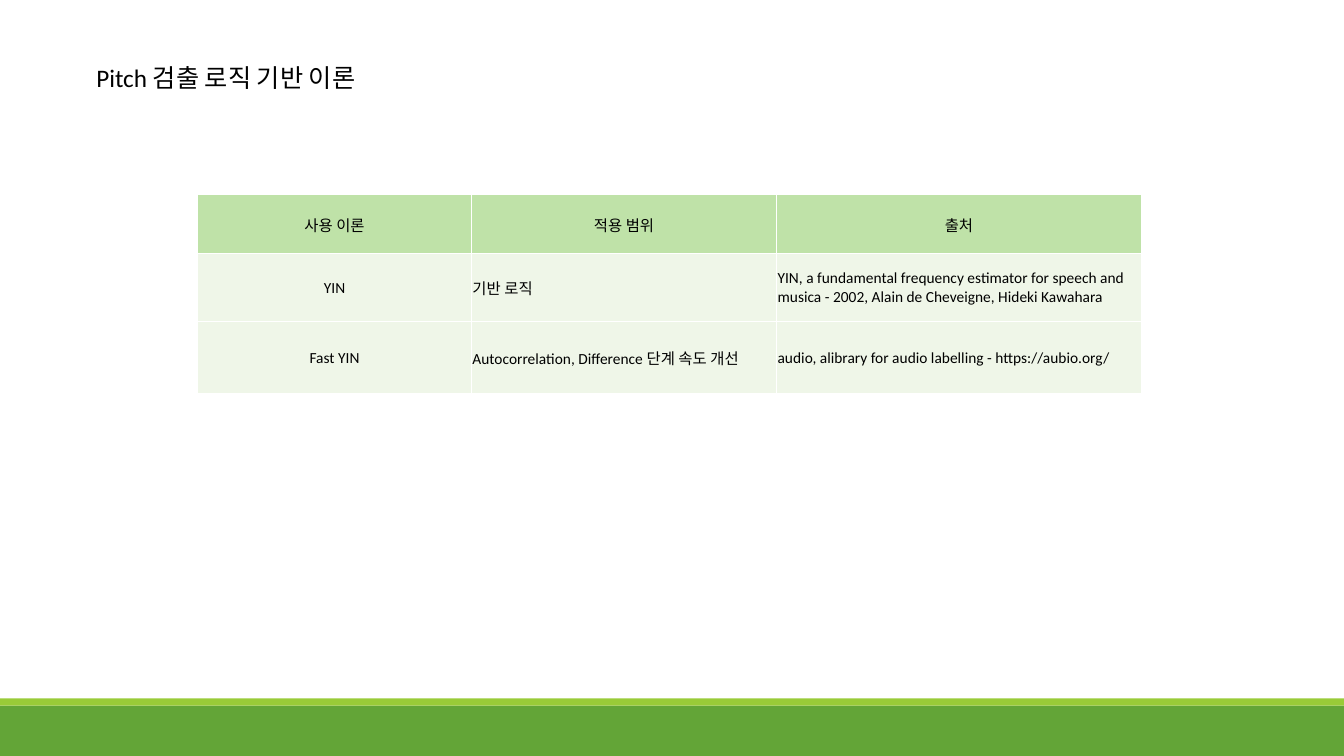
from dataclasses import dataclass

from lxml import etree
from pptx import Presentation
from pptx.dml.color import RGBColor
from pptx.enum.shapes import MSO_SHAPE
from pptx.enum.text import MSO_ANCHOR, MSO_AUTO_SIZE, PP_ALIGN
from pptx.oxml.ns import qn
from pptx.util import Pt

TITLE = "Pitch 검출 로직 기반 이론"
HEADER = ("사용 이론", "적용 범위", "출처")
THEORIES = [
    ("YIN", "기반 로직",
     "YIN, a fundamental frequency estimator for speech and musica"
     " - 2002, Alain de Cheveigne, Hideki Kawahara"),
    ("Fast YIN", "Autocorrelation, Difference 단계 속도 개선",
     "audio, alibrary for audio labelling - https://aubio.org/"),
]

SLIDE_W, SLIDE_H = 960, 540
TITLE_BOX = (54.7, 41, 213.1, 29.1)
TABLE_LEFT, TABLE_TOP = 141.2, 139
COLUMN_WIDTHS = (195.6, 218, 260.5)
ROW_HEIGHTS = (42, 48.5, 51.5)
BAND_H, STRIPE_H = 36, 5.2


@dataclass(frozen=True)
class Theme:
    """Colours, font and type sizes of the slide."""
    font: str = "Calibri"
    title_size: float = 18
    table_size: float = 11
    text: str = "000000"
    band: str = "63A537"
    stripe: str = "99CB38"
    header_fill: str = "BFE2A8"
    body_fill: str = "EFF6E8"
    border: str = "FFFFFF"


THEME = Theme()


def write(frame, text, size, align):
    """Put one formatted paragraph in a text frame."""
    frame.text = text
    paragraph = frame.paragraphs[0]
    paragraph.alignment = align
    font = paragraph.runs[0].font
    font.name, font.size = THEME.font, Pt(size)
    font.color.rgb = RGBColor.from_string(THEME.text)


def add_bar(slide, top, height, color):
    """Draw a full-width bar."""
    bar = slide.shapes.add_shape(
        MSO_SHAPE.RECTANGLE, 0, Pt(top), Pt(SLIDE_W), Pt(height))
    bar.shadow.inherit = False
    bar.fill.solid()
    bar.fill.fore_color.rgb = RGBColor.from_string(color)
    bar.line.fill.background()


def add_title(slide):
    """Place the title in its placeholder."""
    title = slide.shapes.title
    title.left, title.top, title.width, title.height = map(Pt, TITLE_BOX)
    frame = title.text_frame
    frame.word_wrap = False
    frame.auto_size = MSO_AUTO_SIZE.SHAPE_TO_FIT_TEXT
    frame.vertical_anchor = MSO_ANCHOR.TOP
    write(frame, TITLE, THEME.title_size, PP_ALIGN.CENTER)


def set_borders(cell):
    """Give a cell thin borders, which must precede its fill."""
    properties = cell._tc.get_or_add_tcPr()
    for side in ("a:lnL", "a:lnR", "a:lnT", "a:lnB"):
        line = etree.SubElement(properties, qn(side), w=str(Pt(1)))
        fill = etree.SubElement(line, qn("a:solidFill"))
        etree.SubElement(fill, qn("a:srgbClr"), val=THEME.border)


def format_cell(cell, text, is_header, is_centred):
    """Fill, border and write one table cell."""
    cell.margin_left = cell.margin_right = cell.margin_top = Pt(0.7)
    cell.margin_bottom = 0
    cell.vertical_anchor = MSO_ANCHOR.MIDDLE
    set_borders(cell)
    cell.fill.solid()
    cell.fill.fore_color.rgb = RGBColor.from_string(
        THEME.header_fill if is_header else THEME.body_fill)
    write(cell.text_frame, text, THEME.table_size,
          PP_ALIGN.CENTER if is_centred else PP_ALIGN.LEFT)


def add_theory_table(slide):
    """Build the table of theories, scopes and sources."""
    rows = [HEADER, *THEORIES]
    table = slide.shapes.add_table(
        len(rows), len(HEADER), Pt(TABLE_LEFT), Pt(TABLE_TOP),
        Pt(sum(COLUMN_WIDTHS)), Pt(sum(ROW_HEIGHTS))).table
    for column, width in zip(table.columns, COLUMN_WIDTHS):
        column.width = Pt(width)
    for r, (texts, height) in enumerate(zip(rows, ROW_HEIGHTS)):
        table.rows[r].height = Pt(height)
        for c, text in enumerate(texts):
            format_cell(table.cell(r, c), text, r == 0, r == 0 or c == 0)


presentation = Presentation()
presentation.slide_width, presentation.slide_height = Pt(SLIDE_W), Pt(SLIDE_H)
title_only = presentation.slide_layouts[5]
slide = presentation.slides.add_slide(title_only)
band_top = SLIDE_H - BAND_H
add_bar(slide, band_top, BAND_H, THEME.band)
add_bar(slide, band_top - STRIPE_H, STRIPE_H, THEME.stripe)
add_title(slide)
add_theory_table(slide)
presentation.save("out.pptx")
